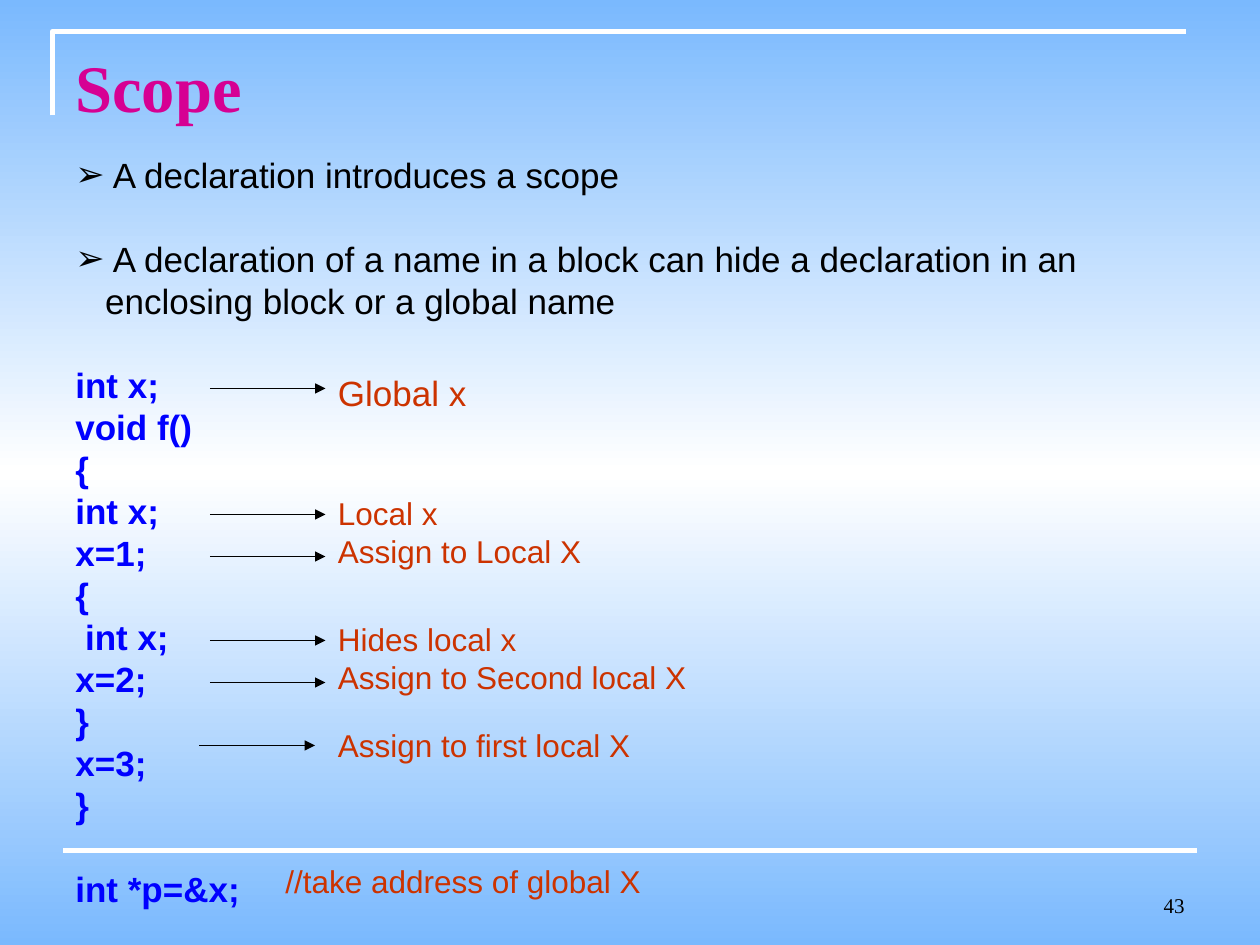
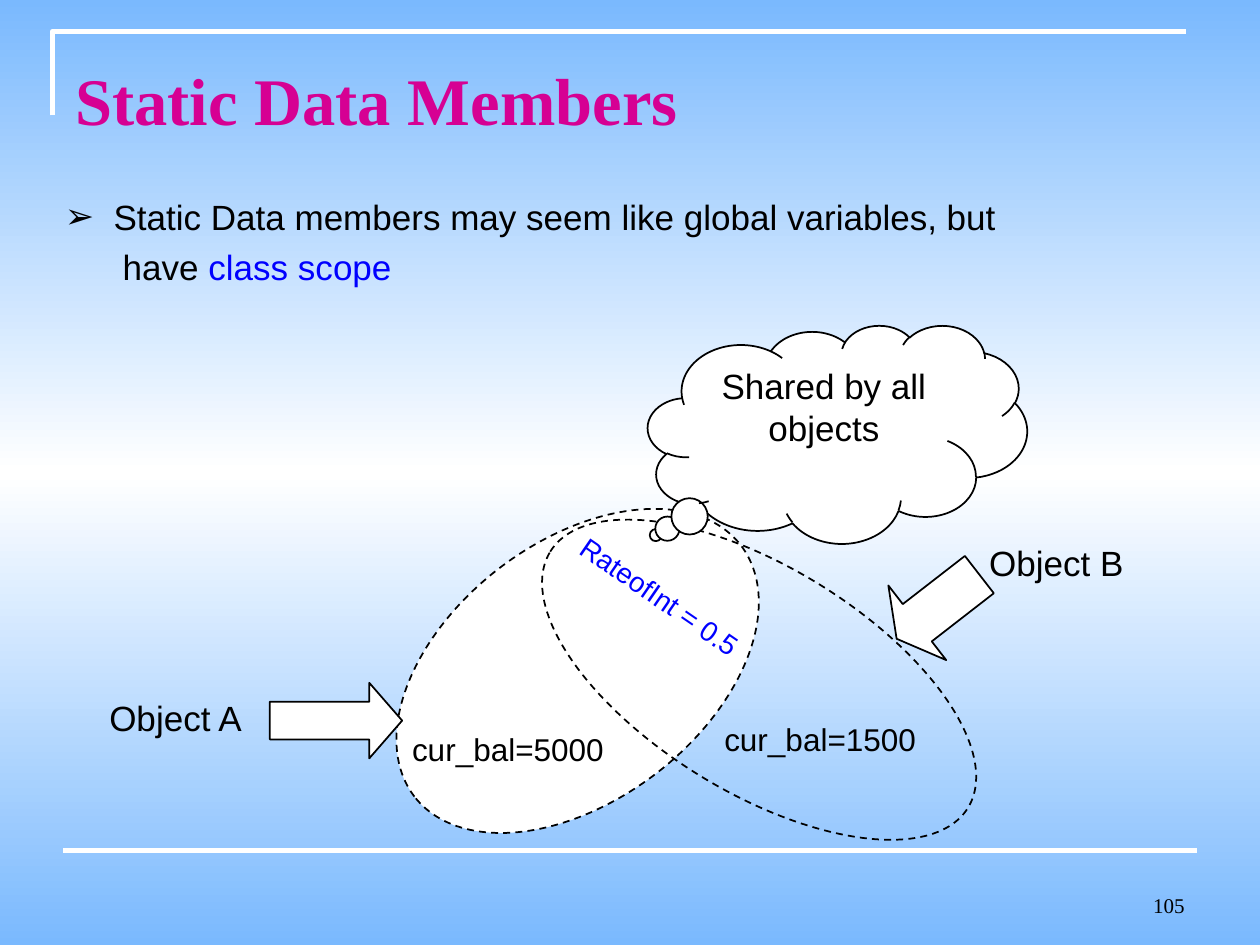
from copy import deepcopy
from dataclasses import dataclass

from pptx import Presentation
from pptx.dml.color import RGBColor
from pptx.enum.dml import MSO_LINE
from pptx.enum.shapes import MSO_CONNECTOR, MSO_SHAPE
from pptx.enum.text import MSO_ANCHOR, PP_ALIGN
from pptx.oxml import parse_xml
from pptx.oxml.ns import nsdecls, qn
from pptx.util import Pt

TOP, MID, LOW = MSO_ANCHOR.TOP, MSO_ANCHOR.MIDDLE, MSO_ANCHOR.BOTTOM
LEFT, CENTER, RIGHT = PP_ALIGN.LEFT, PP_ALIGN.CENTER, PP_ALIGN.RIGHT
OVAL, CLOUD = MSO_SHAPE.OVAL, MSO_SHAPE.CLOUD_CALLOUT
EAST, SOUTH = MSO_SHAPE.RIGHT_ARROW, MSO_SHAPE.DOWN_ARROW
STRAIGHT, DASH = MSO_CONNECTOR.STRAIGHT, MSO_LINE.DASH


@dataclass(frozen=True)
class Theme:
    sky: str = "7AB9FE"
    white: str = "FFFFFF"
    ink: str = "000000"
    pink: str = "D60093"
    blue: str = "0000FF"
    rust: str = "CC3300"
    sans: str = "Arial"
    serif: str = "Times New Roman"
    head: float = 38
    body: float = 20
    note: float = 18
    small: float = 16
    foot: float = 12


T = Theme()
# Line pitch for each type size
PITCH = {T.head: 47, T.body: 24, T.note: 21.2, T.small: 19, T.foot: 14}


def rgb(code):
    return RGBColor.from_string(code)


def style(par, size=T.body, color=T.ink, font=T.sans, bold=False, align=LEFT):
    par.alignment = align
    par.line_spacing = Pt(PITCH[size])
    for run in par.runs:
        run.font.size, run.font.name, run.font.bold = Pt(size), font, bold
        run.font.color.rgb = rgb(color)


def indent(par, left, hang=0, mark=None):
    props = par._p.get_or_add_pPr()
    props.set("marL", str(Pt(left)))
    props.set("indent", str(-Pt(hang)))
    if mark:
        props.append(parse_xml(f'<a:buFont {nsdecls("a")} typeface="{T.sans}"/>'))
        props.append(parse_xml(f'<a:buChar {nsdecls("a")} char="{mark}"/>'))


def frame(shape, anchor=TOP, wrap=True):
    area = shape.text_frame
    area.word_wrap, area.vertical_anchor = wrap, anchor
    area.margin_left = area.margin_right = Pt(7.2)
    area.margin_top = area.margin_bottom = Pt(3.6)
    return area


def label(slide, box, text, anchor=TOP, wrap=True, turn=0, **look):
    shape = slide.shapes.add_textbox(*map(Pt, box))
    shape.rotation = turn
    area = frame(shape, anchor, wrap)
    area.text = text
    for par in area.paragraphs:
        style(par, **look)
    return area


def stroke(slide, start, end, color, width, arrow=False):
    line = slide.shapes.add_connector(STRAIGHT, *map(Pt, start + end))
    line.line.color.rgb, line.line.width = rgb(color), Pt(width)
    props = line._element.spPr
    if arrow:
        props.find(qn("a:ln")).append(
            parse_xml(f'<a:tailEnd {nsdecls("a")} type="triangle"/>'))
    props.append(parse_xml(f'<a:effectLst {nsdecls("a")}/>'))


def solid(slide, kind, box, turn=0, fill=T.white, dash=None, adjust=()):
    shape = slide.shapes.add_shape(kind, *map(Pt, box))
    shape.shadow.inherit = False
    shape.rotation = turn
    for i, value in enumerate(adjust):
        shape.adjustments[i] = value
    if fill:
        shape.fill.solid()
        shape.fill.fore_color.rgb = rgb(fill)
    else:
        shape.fill.background()
    shape.line.color.rgb, shape.line.width = rgb(T.ink), Pt(1)
    if dash:
        shape.line.dash_style = dash
    return shape


def backdrop(master):
    fill = master.background.fill
    fill.gradient()
    fill.gradient_angle = 90
    last = fill.gradient_stops[1]._gs
    last.addnext(deepcopy(last))
    stops = zip(fill.gradient_stops, (0, 0.5, 1), (T.sky, T.white, T.sky))
    for stop, place, color in stops:
        stop.position, stop.color.rgb = place, rgb(color)


def base(deck, title, number, height, anchor):
    """Add a slide with its corner rule, foot rule, number and title."""
    slide = deck.slides.add_slide(deck.slide_layouts[6])
    path = slide.shapes.build_freeform(Pt(30), Pt(66))
    path.add_line_segments([(Pt(30), Pt(18)), (Pt(678), Pt(18))], close=False)
    rule = path.convert_to_shape()
    rule.shadow.inherit = False
    rule.fill.background()
    rule.line.color.rgb, rule.line.width = rgb(T.white), Pt(3)
    stroke(slide, (36, 486), (684, 486), T.white, 3)
    label(slide, (516, 492, 168, 36), number, LOW,
          size=T.foot, font=T.serif, align=RIGHT)
    label(slide, (36, 21.6, 648, height), title, anchor,
          size=T.head, color=T.pink, font=T.serif, bold=True)
    return slide


def listing(slide, box):
    """Two points, then the code under them."""
    points = ["A declaration introduces a scope",
              "A declaration of a name in a block can hide a declaration "
              "in an enclosing block or a global name"]
    code = ["int x;", "void f()", "{", "int x;", "x=1;", "{", " int x;",
            "x=2;", "}", "x=3;", "}", "int *p=&x;"]
    area = label(slide, box, "\n".join([" " + p for p in points] + code))
    pars = area.paragraphs
    for par in pars[:2]:
        indent(par, 17, 17, "➢")
    for par in pars[2:]:
        style(par, color=T.blue, bold=True)
    # One empty line before each new group
    for par in (pars[1], pars[2], pars[-1]):
        par.space_before = Pt(PITCH[T.body])


def remarks(slide, box):
    """Arrows from the code lines to the remarks beside them."""
    x, y, wide, gap = box
    for shift, drop in ((0, 0), (0, 72), (0, 96), (0, 144), (0, 168), (-6, 204)):
        start = x + shift
        stroke(slide, (start, y + drop), (start + gap, y + drop),
               T.ink, 0.75, arrow=True)
    notes = [(66, -13, T.body, "Global x"),
             (66, 57.4, T.note, "Local x\nAssign to Local X"),
             (66, 129.4, T.note, "Hides local x\nAssign to Second local X"),
             (66, 190, T.note, "Assign to first local X"),
             (36, 267.6, T.note, "//take address of global X")]
    for left, drop, size, text in notes:
        rows = text.count("\n") + 1
        label(slide, (x + left, y + drop, wide, rows * PITCH[size] + 7.2),
              text, size=size, color=T.rust)


def scope(deck):
    slide = base(deck, "Scope", "43", 44, TOP)
    listing(slide, (36, 84, 642, 440))
    remarks(slide, (120, 222, 222, 66))


def intro(slide, box):
    area = label(slide, box, "Static Data members may seem like global "
                 "variables, but\nhave ")
    first, last = area.paragraphs
    indent(first, 27.8, 27.8, "➢")
    indent(last, 33)
    last.space_before = Pt(5)
    last.add_run().text = "class scope"
    style(last)
    last.runs[1].font.color.rgb = rgb(T.blue)


def objects(slide, box):
    """Two overlapping objects, their fields and the shared member."""
    x, y = box[:2]

    def at(left, top, wide, high):
        return x + left, y + top, wide, high

    # Object A
    solid(slide, OVAL, at(157, 123.8, 235.4, 147.6), 322.4, dash=DASH)
    label(slide, at(173, 228.2, 124, 28.8), "cur_bal=5000",
          wrap=False, size=T.note)
    solid(slide, EAST, at(98.8, 204.4, 75.6, 43.2), adjust=(0.5, 0.435))
    label(slide, at(0, 208.8, 128, 31.6), "Object A")

    # Object B
    label(slide, at(502.8, 120.2, 104.4, 31.6), "Object B")
    solid(slide, SOUTH, at(453.6, 131, 54, 59.8), 52.2, adjust=(0.5, 0.276))
    solid(slide, OVAL, at(238.4, 138.2, 280, 128.9), 31.5, None, DASH)

    # Shared member
    cloud = solid(slide, CLOUD, at(314.8, 0, 216.7, 124.6),
                  adjust=(-0.479, 0.463))
    area = frame(cloud)
    area.text = "Shared by all objects"
    style(area.paragraphs[0], align=CENTER)
    label(slide, at(260.6, 145.4, 131.8, 26.6), "RateofInt = 0.5",
          turn=34.6, size=T.small, color=T.blue)
    label(slide, at(351.4, 222.4, 151.2, 28.8), "cur_bal=1500", size=T.note)


def static(deck):
    slide = base(deck, "Static Data Members", "105", 68.4, MID)
    objects(slide, (55.4, 185.8, 608, 290))
    intro(slide, (30, 108, 588, 60.4))


def main():
    deck = Presentation()
    deck.slide_width, deck.slide_height = Pt(720), Pt(540)
    backdrop(deck.slide_master)
    scope(deck)
    static(deck)
    deck.save("out.pptx")


if __name__ == "__main__":
    main()
